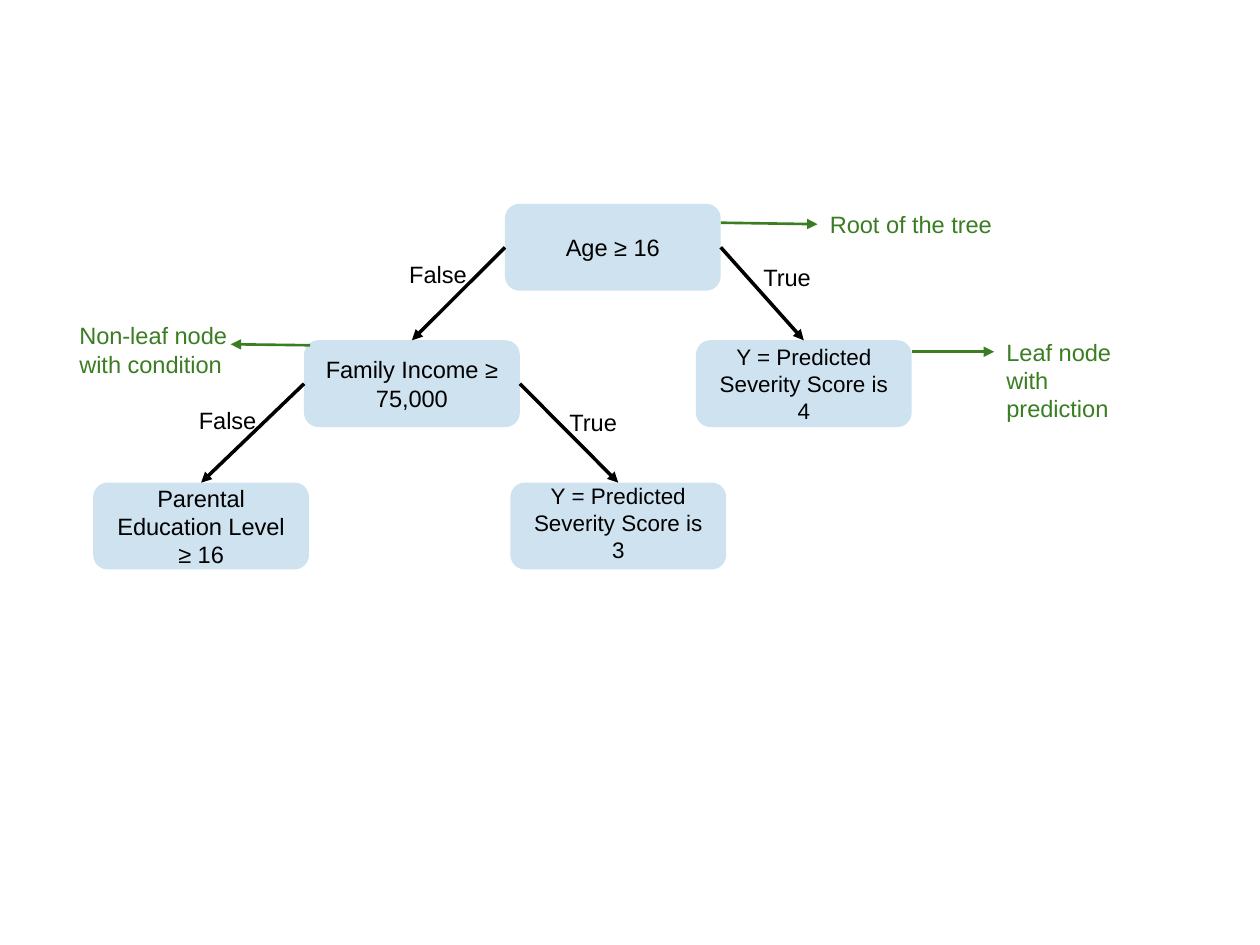
import pptx
import pptx.dml.color
import pptx.enum.shapes
import pptx.enum.text
import pptx.util
from lxml import etree
from pptx.oxml.ns import qn

Cm = pptx.util.Cm
Pt = pptx.util.Pt
TOP, LEFT, RIGHT = 0, 1, 3  # connection sites of a rounded rectangle


def color(hex_string):
    return pptx.dml.color.RGBColor.from_string(hex_string)


def write(text_frame, text, size=13.5, ink="000000", font="Arial", align="LEFT", anchor="TOP"):
    text_frame.word_wrap = True
    text_frame.vertical_anchor = getattr(pptx.enum.text.MSO_ANCHOR, anchor)
    paragraph = text_frame.paragraphs[0]
    paragraph.alignment = getattr(pptx.enum.text.PP_ALIGN, align)
    run = paragraph.add_run()
    run.text = text
    run.font.size = Pt(size)
    run.font.name = font
    run.font.color.rgb = color(ink)


class TreeSlide:
    node_fill = "CFE2EF"
    black = "000000"
    green = "3B7D23"
    node_width, node_height = 4.35, 1.75

    def __init__(self, slide):
        self.slide = slide

    def node(self, left, top, text, size=13.5, bottom_inset=0.13):
        shape = self.slide.shapes.add_shape(
            pptx.enum.shapes.MSO_SHAPE.ROUNDED_RECTANGLE,
            Cm(left), Cm(top), Cm(self.node_width), Cm(self.node_height))
        shape.shadow.inherit = False
        shape.fill.solid()
        shape.fill.fore_color.rgb = color(self.node_fill)
        shape.line.fill.background()
        shape.text_frame.margin_bottom = Cm(bottom_inset)
        write(shape.text_frame, text, size=size, align="CENTER", anchor="MIDDLE")
        return shape

    def label(self, left, top, width, height, text, ink=black):
        box = self.slide.shapes.add_textbox(Cm(left), Cm(top), Cm(width), Cm(height))
        write(box.text_frame, text, ink=ink)

    def arrow(self, start=(0, 0), end=(0, 0), ink=green, width=1.5):
        connector = self.slide.shapes.add_connector(
            pptx.enum.shapes.MSO_CONNECTOR.STRAIGHT, *map(Cm, start + end))
        connector.line.color.rgb = color(ink)
        connector.line.width = Pt(width)
        line = connector.line._get_or_add_ln()
        etree.SubElement(line, qn("a:tailEnd"), type="triangle")
        etree.SubElement(connector._element.spPr, qn("a:effectLst"))
        return connector

    def branch(self, parent, side, child):
        """Join one side of the parent to the top of the child."""
        connector = self.arrow(ink=self.black, width=2)
        connector.begin_connect(parent, side)
        connector.end_connect(child, TOP)


def main():
    presentation = pptx.Presentation()
    presentation.slide_width, presentation.slide_height = Cm(25.4), Cm(19.05)
    tree = TreeSlide(presentation.slides.add_slide(presentation.slide_layouts[6]))

    level_2, level_3 = 6.86, 9.73
    age = tree.node(10.18, 4.11, "Age ≥ 16")
    score_3 = tree.node(10.29, level_3, "Y = Predicted Severity Score is 3",
                        size=12.8, bottom_inset=0.25)
    score_4 = tree.node(14.03, level_2, "Y = Predicted Severity Score is 4", size=12.8)
    education = tree.node(1.88, level_3, "Parental Education Level ≥ 16")
    income = tree.node(6.13, level_2, "Family Income ≥ 75,000")

    for parent, side, child in [(income, LEFT, education), (income, RIGHT, score_3),
                                (age, LEFT, income), (age, RIGHT, score_4)]:
        tree.branch(parent, side, child)

    for left, top, answer in [(15.14, 5.18, "True"), (11.23, 8.1, "True"),
                              (8, 5.11, "False"), (3.76, 8.05, "False")]:
        tree.label(left, top, 2.34, 0.84, answer)

    tree.label(16.48, 4.11, 5.41, 0.84, "Root of the tree", ink=tree.green)
    tree.label(20.04, 6.68, 3.51, 1.98, "Leaf node with prediction", ink=tree.green)
    tree.label(1.35, 6.35, 3.86, 1.42, "Non-leaf node with condition", ink=tree.green)
    tree.arrow((14.53, 4.49), (16.48, 4.52))
    tree.arrow((18.38, 7.09), (20.04, 7.09))
    tree.arrow((6.25, 6.96), (4.65, 6.94))

    presentation.save("out.pptx")


if __name__ == "__main__":
    main()
